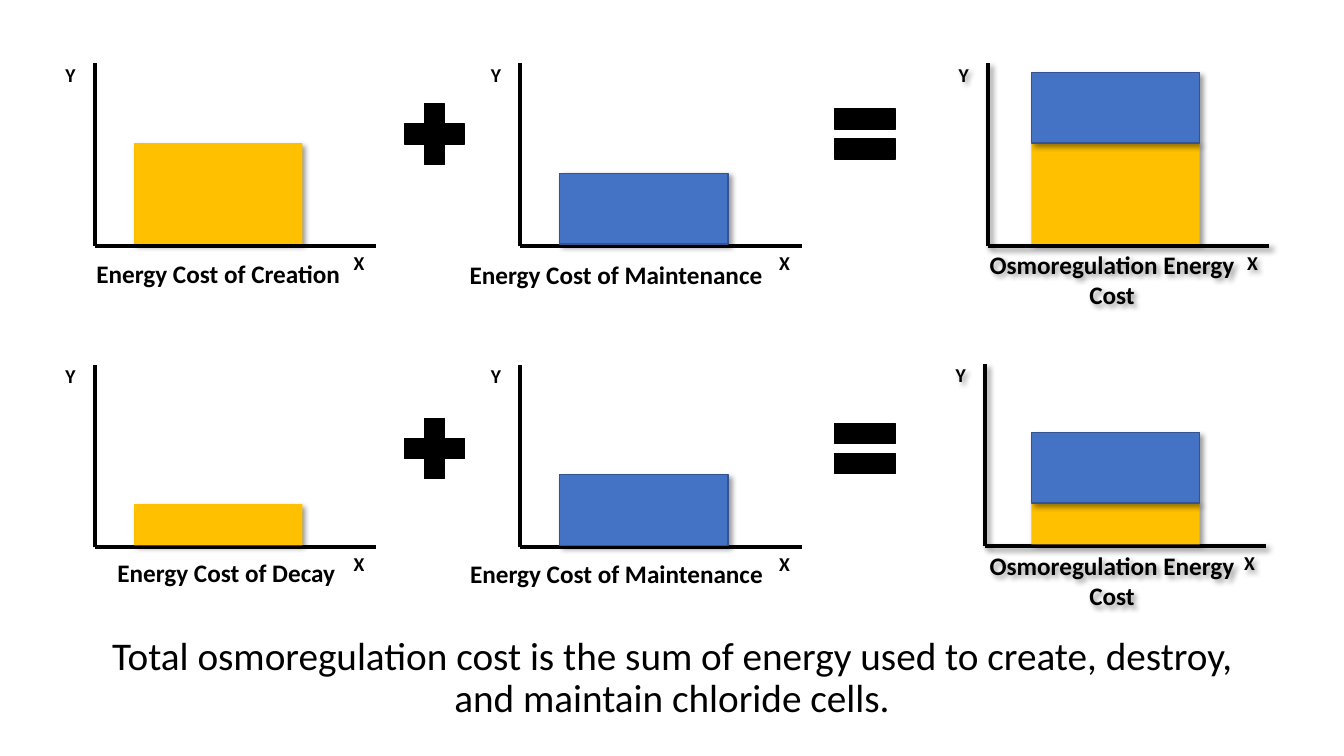
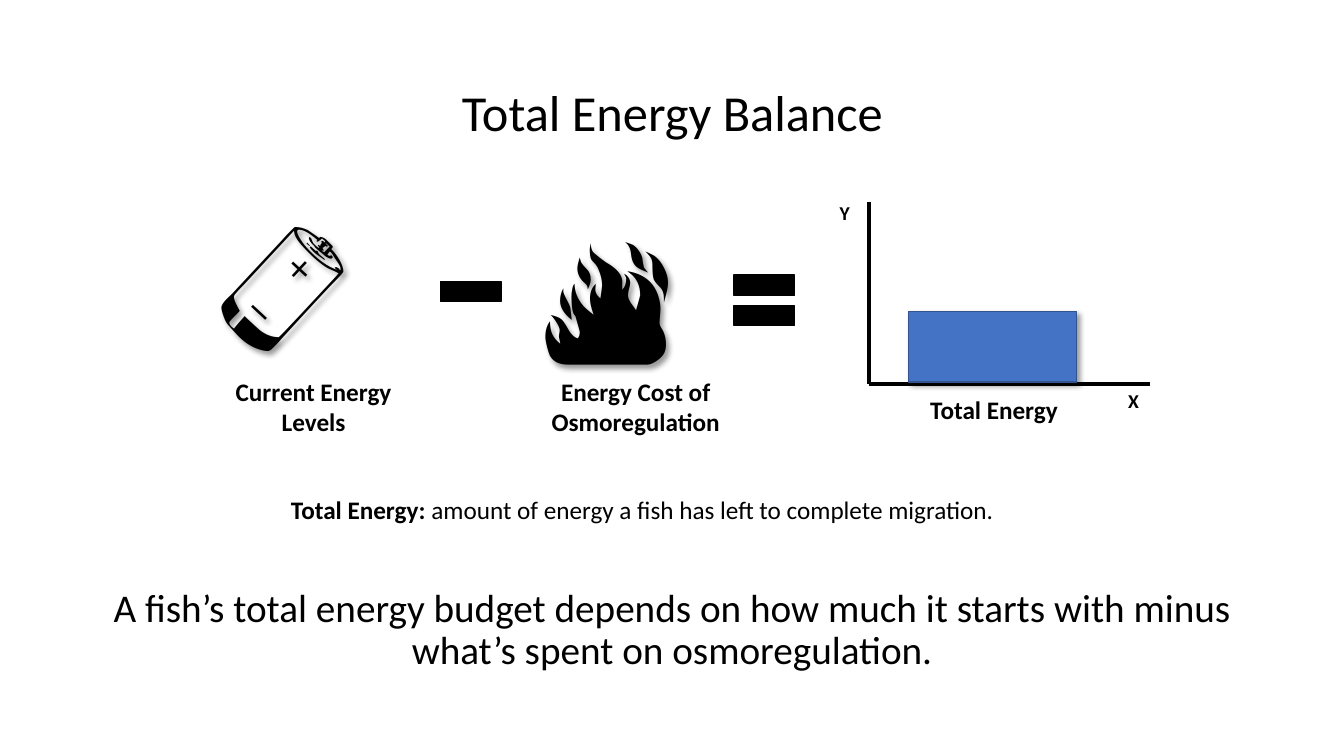
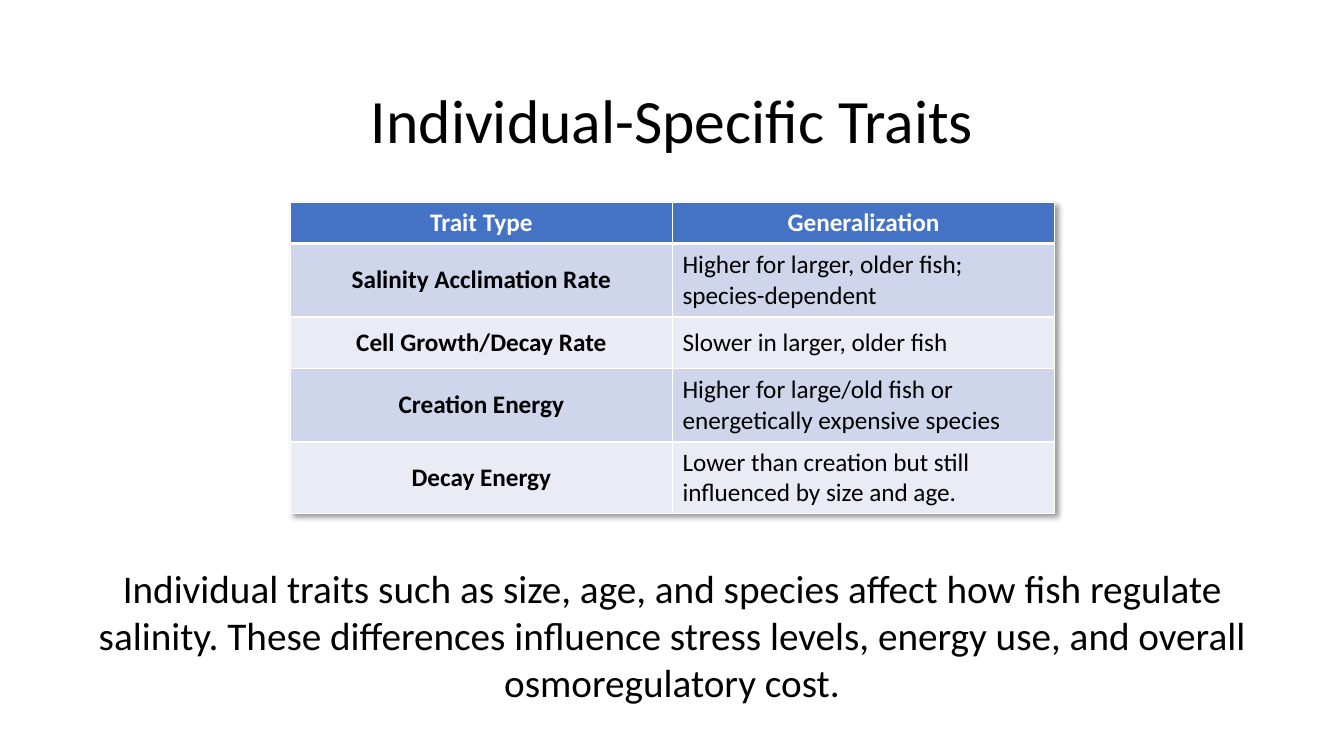
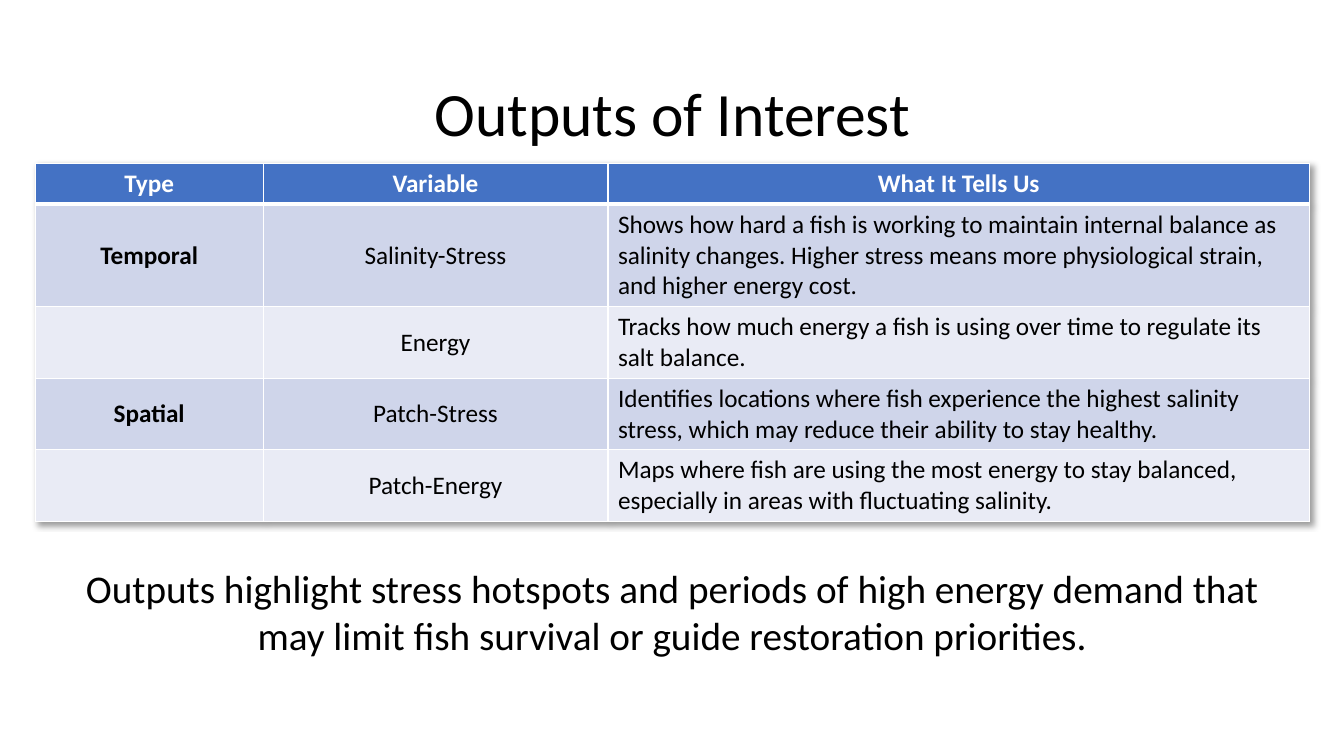
"""Build four slides on the energy budget of fish osmoregulation."""
import dataclasses
import typing

import lxml.etree
import pptx
import pptx.dml.color
import pptx.enum.shapes
import pptx.enum.text
import pptx.oxml.ns
import pptx.shapes.base
import pptx.slide
import pptx.table
import pptx.text.text
import pptx.util

ALIGN = pptx.enum.text.PP_ALIGN
MIDDLE = pptx.enum.text.MSO_ANCHOR.MIDDLE
TOP = pptx.enum.text.MSO_ANCHOR.TOP
qn = pptx.oxml.ns.qn


@dataclasses.dataclass(frozen=True)
class Theme:
    """Colours, type sizes and line widths of the deck."""
    font: str = "Calibri"
    black: str = "000000"
    white: str = "FFFFFF"
    blue: str = "4472C4"
    navy: str = "325491"
    gold: str = "FFC000"
    bands: tuple[str, str] = ("CFD5EA", "E9EBF5")
    title: int = 44
    small_title: int = 36
    message: int = 28
    text: int = 18
    axis: int = 14
    icon: int = 96
    thin: int = 1
    thick: int = 3


THEME = Theme()


class Box(typing.NamedTuple):
    """Position and size in px."""
    x: int
    y: int
    w: int
    h: int


@dataclasses.dataclass(frozen=True)
class Bar:
    """One bar of a plot."""
    height: int
    fill: str
    line: str | None = None


@dataclasses.dataclass(frozen=True)
class Plot:
    """A pair of axes with its caption and stacked bars."""
    x: int
    y: int
    caption: str
    caption_box: Box
    bars: tuple[Bar, ...]
    bar_offset: int = 39
    shadow: bool = False


@dataclasses.dataclass(frozen=True)
class Operator:
    """An arithmetic sign around a centre."""
    sign: str
    x: int
    y: int


@dataclasses.dataclass(frozen=True)
class TableSlide:
    """A slide with a title, a table and a message."""
    title: str
    title_y: int
    x: int
    y: int
    widths: tuple[int, ...]
    heights: tuple[int, ...]
    rows: tuple[tuple[str, ...], ...]
    message: str
    message_h: int


CREATION = Bar(100, THEME.gold)
DECAY = Bar(41, THEME.gold)
MAINTENANCE = Bar(70, THEME.blue, THEME.navy)
SIGNS = {
    "+": (Box(-10, -30, 20, 60), Box(-30, -10, 60, 20)),
    "-": (Box(-30, -10, 60, 20),),
    "=": (Box(-30, -25, 60, 20), Box(-30, 5, 60, 20)),
}
COST_PLOTS = (
    Plot(94, 244, "Energy Cost of Creation", Box(0, 251, 433, 40), (CREATION,)),
    Plot(516, 244, "Energy Cost of Maintenance", Box(427, 252, 368, 40), (MAINTENANCE,)),
    Plot(980, 244, "Osmoregulation Energy Cost", Box(968, 242, 270, 71),
         (CREATION, MAINTENANCE), 43, True),
    Plot(94, 543, "Energy Cost of Decay", Box(8, 548, 433, 40), (DECAY,)),
    Plot(516, 543, "Energy Cost of Maintenance", Box(395, 549, 433, 40), (MAINTENANCE,)),
    Plot(977, 542, "Osmoregulation Energy Cost", Box(968, 541, 270, 71),
         (DECAY, MAINTENANCE), 46, True),
)
COST_OPERATORS = tuple(Operator(sign, x, y) for y in (133, 445)
                       for sign, x in (("+", 431), ("=", 858)))
TOTAL_PLOT = Plot(862, 381, "Total Energy", Box(826, 386, 320, 40), (MAINTENANCE,))
TABLE_SLIDES = (
    TableSlide(
        "Individual-Specific Traits", 50, 288, 201, (379, 379), (40, 73, 51, 73, 71),
        (("Trait Type", "Generalization"),
         ("Salinity Acclimation Rate", "Higher for larger, older fish; species-dependent"),
         ("Cell Growth/Decay Rate", "Slower in larger, older fish"),
         ("Creation Energy", "Higher for large/old fish or energetically expensive species"),
         ("Decay Energy", "Lower than creation but still influenced by size and age.")),
        "Individual traits such as size, age, and species affect how fish regulate salinity. "
        "These differences influence stress levels, energy use, and overall osmoregulatory cost.",
        151),
    TableSlide(
        "Outputs of Interest", 43, 35, 162, (226, 342, 696), (40, 101, 71, 71, 71),
        (("Type", "Variable", "What It Tells Us"),
         ("Temporal", "Salinity-Stress",
          "Shows how hard a fish is working to maintain internal balance as salinity changes. "
          "Higher stress means more physiological strain, and higher energy cost."),
         ("", "Energy",
          "Tracks how much energy a fish is using over time to regulate its salt balance."),
         ("Spatial", "Patch-Stress",
          "Identifies locations where fish experience the highest salinity stress, "
          "which may reduce their ability to stay healthy."),
         ("", "Patch-Energy",
          "Maps where fish are using the most energy to stay balanced, "
          "especially in areas with fluctuating salinity.")),
        "Outputs highlight stress hotspots and periods of high energy demand that may limit "
        "fish survival or guide restoration priorities.",
        104),
)


def px(n: int) -> pptx.util.Emu:
    """Turn px, 100 to the inch, into EMU."""
    return pptx.util.Emu(n * 9144)


def place(box: Box) -> tuple[pptx.util.Emu, ...]:
    """Give a box in EMU."""
    return tuple(px(n) for n in box)


def rgb(color: str) -> pptx.dml.color.RGBColor:
    """Turn a hex colour into an RGBColor."""
    return pptx.dml.color.RGBColor.from_string(color)


def effects(shadow: bool) -> lxml.etree._Element:
    """Make an effect list with or without the soft shadow."""
    effect_list = lxml.etree.Element(qn("a:effectLst"))
    if shadow:
        outer = lxml.etree.SubElement(
            effect_list, qn("a:outerShdw"), blurRad="50800", dist="38100",
            dir="2700000", algn="tl", rotWithShape="0")
        color = lxml.etree.SubElement(outer, qn("a:srgbClr"), val=THEME.black)
        lxml.etree.SubElement(color, qn("a:alpha"), val="40000")
    return effect_list


def set_shadow(sp: pptx.shapes.base.BaseShape, shadow: bool) -> None:
    """End the shape properties with an effect list."""
    sp._element.spPr.append(effects(shadow))


def style(p: pptx.text.text._Paragraph, size: int, bold: bool = False,
          align: ALIGN = ALIGN.CENTER, color: str = THEME.black) -> None:
    """Set the font and alignment of a paragraph."""
    p.alignment = align
    p.font.name = THEME.font
    p.font.size = pptx.util.Pt(size)
    p.font.bold = bold
    p.font.color.rgb = rgb(color)


def add_text(s: pptx.slide.Slide, box: Box, text: str, size: int = THEME.text,
             bold: bool = True, align: ALIGN = ALIGN.CENTER,
             shadow: bool = False) -> pptx.text.text.TextFrame:
    """Add a wrapped text box."""
    sp = s.shapes.add_textbox(*place(box))
    set_shadow(sp, shadow)
    tf = sp.text_frame
    tf.word_wrap = True
    tf.vertical_anchor = TOP
    p = tf.paragraphs[0]
    p.text = text
    style(p, size, bold, align)
    return tf


def add_message(s: pptx.slide.Slide, y: int, text: str) -> None:
    """Add the closing message with tight lines, centred in its band."""
    tf = add_text(s, Box(100, y, 1133, 145), text, THEME.message, False)
    tf.vertical_anchor = MIDDLE
    tf.paragraphs[0].line_spacing = 0.9


def set_title(s: pptx.slide.Slide, y: int, text: str, size: int = THEME.title) -> None:
    """Fill and move the title placeholder."""
    sp = s.shapes.title
    sp.left, sp.top, sp.width, sp.height = place(Box(92, y, 1150, 145))
    tf = sp.text_frame
    tf.auto_size = pptx.enum.text.MSO_AUTO_SIZE.NONE
    tf.vertical_anchor = MIDDLE
    p = tf.paragraphs[0]
    p.text = text
    p.line_spacing = 0.9
    style(p, size)


def add_rect(s: pptx.slide.Slide, box: Box, fill: str, line: str | None,
             shadow: bool = False) -> None:
    """Add a filled rectangle."""
    sp = s.shapes.add_shape(pptx.enum.shapes.MSO_SHAPE.RECTANGLE, *place(box))
    sp.fill.solid()
    sp.fill.fore_color.rgb = rgb(fill)
    if line:
        sp.line.color.rgb = rgb(line)
        sp.line.width = pptx.util.Pt(THEME.thin)
    else:
        sp.line.fill.background()
    set_shadow(sp, shadow)


def add_operator(s: pptx.slide.Slide, operator: Operator) -> None:
    """Draw a sign from black strokes."""
    for stroke in SIGNS[operator.sign]:
        box = Box(operator.x + stroke.x, operator.y + stroke.y, stroke.w, stroke.h)
        add_rect(s, box, THEME.black, THEME.black)


def add_plot(s: pptx.slide.Slide, plot: Plot) -> None:
    """Draw axes, axis letters, caption and bars."""
    x, y = plot.x, plot.y
    for end_x, end_y in ((x, y - 181), (x + 279, y)):
        axis = s.shapes.add_connector(pptx.enum.shapes.MSO_CONNECTOR.STRAIGHT,
                                      px(x), px(y), px(end_x), px(end_y))
        axis.line.color.rgb = rgb(THEME.black)
        axis.line.width = pptx.util.Pt(THEME.thick)
        set_shadow(axis, plot.shadow)
    for letter, left, top in (("X", x + 247, y), ("Y", x - 39, y - 187)):
        add_text(s, Box(left, top, 65, 45), letter, THEME.axis, align=ALIGN.LEFT,
                 shadow=plot.shadow)
    add_text(s, plot.caption_box, plot.caption, shadow=plot.shadow)
    top = y - 2
    for bar in plot.bars:
        top -= bar.height
        add_rect(s, Box(x + plot.bar_offset, top, 167, bar.height), bar.fill, bar.line, True)


def set_borders(cell: pptx.table._Cell, header: bool) -> None:
    """Give a cell white borders, thick below the header."""
    tc_pr = cell._tc.get_or_add_tcPr()
    for i, side in enumerate(("lnL", "lnR", "lnT", "lnB")):
        width = THEME.thick if header and side == "lnB" else THEME.thin
        ln = lxml.etree.Element(qn(f"a:{side}"), w=str(pptx.util.Pt(width)))
        fill = lxml.etree.SubElement(ln, qn("a:solidFill"))
        lxml.etree.SubElement(fill, qn("a:srgbClr"), val=THEME.white)
        tc_pr.insert(i, ln)


def add_table(s: pptx.slide.Slide, data: TableSlide) -> None:
    """Add a banded table with a blue header and a shadow."""
    box = Box(data.x, data.y, sum(data.widths), sum(data.heights))
    table = s.shapes.add_table(len(data.rows), len(data.widths), *place(box)).table
    table._tbl.tblPr.insert(0, effects(True))
    for column, width in zip(table.columns, data.widths):
        column.width = px(width)
    for i, (row, height, texts) in enumerate(zip(table.rows, data.heights, data.rows)):
        row.height = px(height)
        header = i == 0
        for j, (cell, text) in enumerate(zip(row.cells, texts)):
            cell.fill.solid()
            cell.fill.fore_color.rgb = rgb(THEME.blue if header else THEME.bands[(i - 1) % 2])
            set_borders(cell, header)
            cell.vertical_anchor = MIDDLE
            p = cell.text_frame.paragraphs[0]
            p.text = text
            last = j == len(texts) - 1
            style(p, THEME.text, header or j == 0,
                  ALIGN.LEFT if last and not header else ALIGN.CENTER,
                  THEME.white if header else THEME.black)


def build_cost_slide(s: pptx.slide.Slide) -> None:
    """Show total cost as a sum of plots."""
    for plot in COST_PLOTS:
        add_plot(s, plot)
    for operator in COST_OPERATORS:
        add_operator(s, operator)
    add_message(s, 601, "Total osmoregulation cost is the sum of energy used to create, "
                        "destroy, and maintain chloride cells.")


def build_balance_slide(s: pptx.slide.Slide) -> None:
    """Show the energy left after osmoregulation."""
    set_title(s, 42, "Total Energy Balance", THEME.small_title)
    for icon, box in (("🔋", Box(205, 187, 193, 172)), ("🔥", Box(526, 202, 196, 172))):
        add_text(s, box, icon, THEME.icon, False, ALIGN.LEFT, True)
    add_text(s, Box(205, 368, 212, 71), "Current Energy Levels")
    add_text(s, Box(474, 368, 313, 71), "Energy Cost of Osmoregulation")
    for operator in (Operator("-", 467, 289), Operator("=", 758, 298)):
        add_operator(s, operator)
    add_plot(s, TOTAL_PLOT)
    tf = add_text(s, Box(111, 485, 1052, 40), "Total Energy: ", bold=False)
    p = tf.paragraphs[0]
    p.runs[0].font.bold = True
    r = p.add_run()
    r.text = "amount of energy a fish has left to complete migration."
    add_message(s, 553, "A fish’s total energy budget depends on how much it starts with "
                        "minus what’s spent on osmoregulation.")


def build_table_slide(s: pptx.slide.Slide, data: TableSlide) -> None:
    """Show a title, a table and its message."""
    set_title(s, data.title_y, data.title)
    add_table(s, data)
    add_text(s, Box(55, 555, 1223, data.message_h), data.message, THEME.message, False)


def main() -> None:
    """Build and save the deck."""
    prs = pptx.Presentation()
    prs.slide_width, prs.slide_height = px(1333), px(750)
    title_only, blank = prs.slide_layouts[5], prs.slide_layouts[6]
    build_cost_slide(prs.slides.add_slide(blank))
    build_balance_slide(prs.slides.add_slide(title_only))
    for data in TABLE_SLIDES:
        build_table_slide(prs.slides.add_slide(title_only), data)
    prs.save("out.pptx")


if __name__ == "__main__":
    main()
